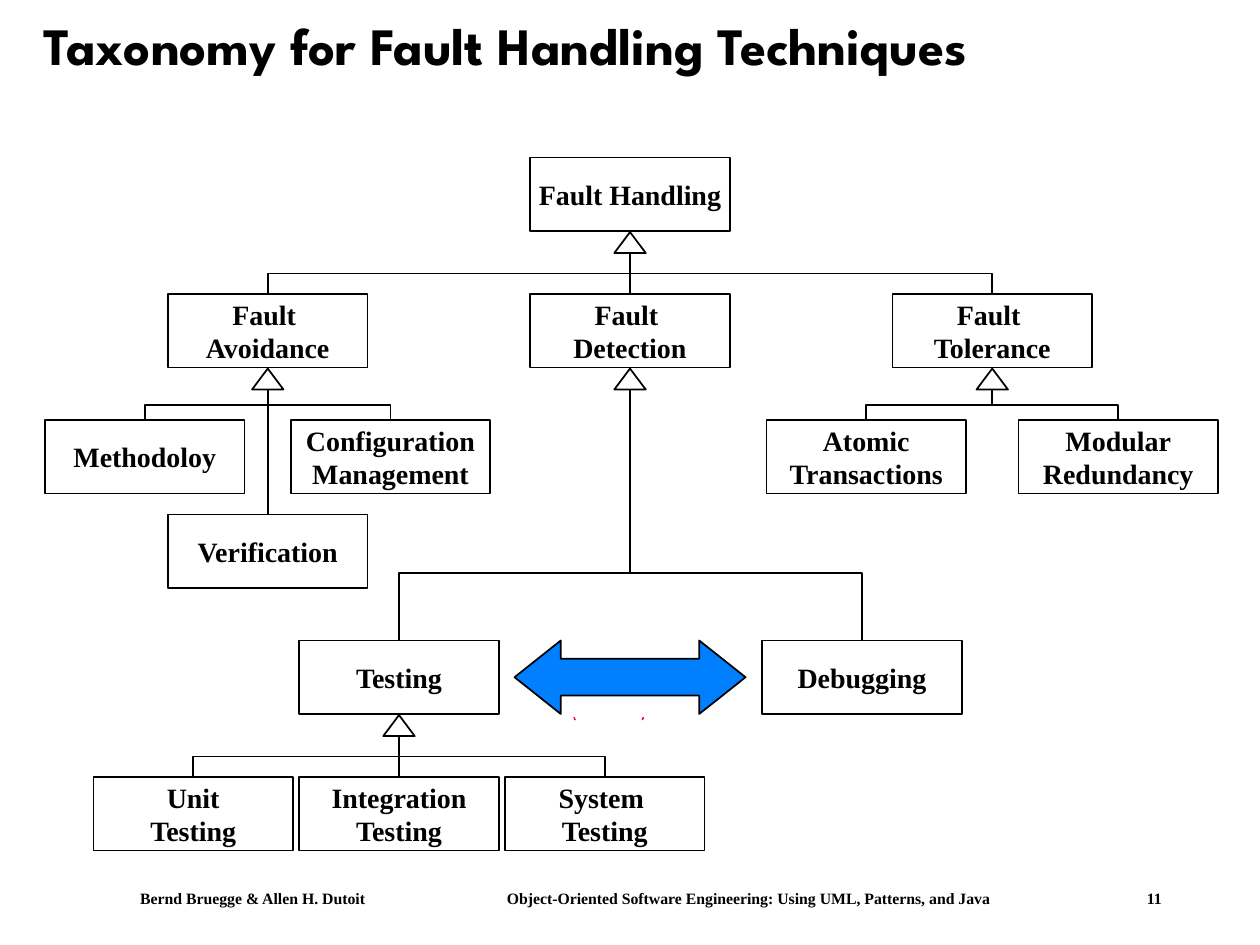
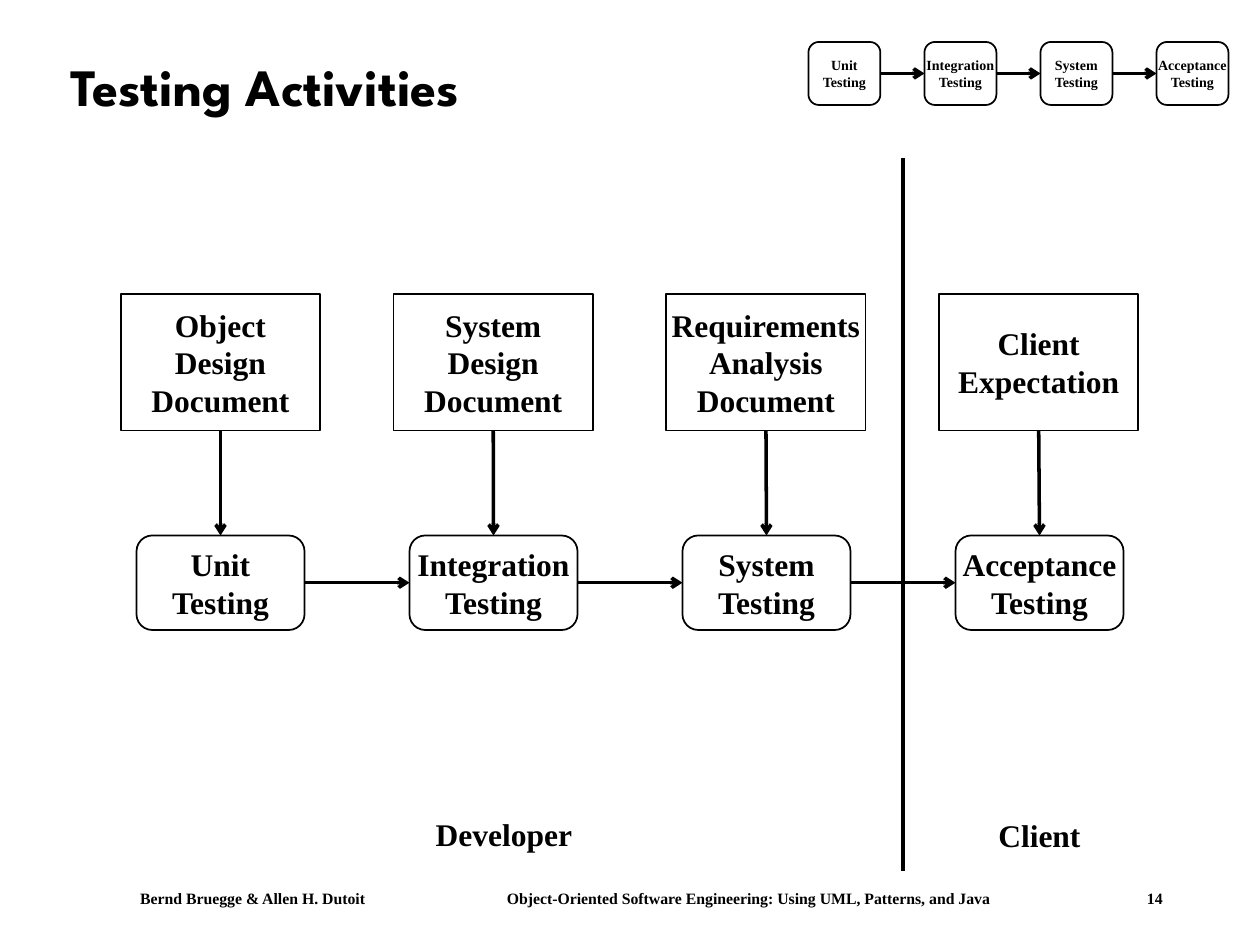
from collections import namedtuple

from lxml import etree
from pptx import Presentation
from pptx import util as u
from pptx.dml.color import RGBColor
from pptx.enum import shapes, text
from pptx.oxml import ns

BLACK = RGBColor(0x00, 0x00, 0x00)
WHITE = RGBColor(0xFF, 0xFF, 0xFF)
BLUE = RGBColor(0x00, 0x80, 0xFF)
RED = RGBColor(0xFC, 0x01, 0x28)
BODY_FONT = "Times New Roman"
TITLE_FONT = "League Spartan"

COLUMNS, ROWS = 240, 180
SLIDE_WIDTH, SLIDE_HEIGHT = u.Inches(10), u.Inches(7.5)
CELL = SLIDE_WIDTH / COLUMNS

AUTHORS = "Bernd Bruegge & Allen H. Dutoit"
BOOK = "Object-Oriented Software Engineering: Using UML, Patterns, and Java"
ACTIVITIES = ["Unit\nTesting", "Integration\nTesting", "System\nTesting", "Acceptance\nTesting"]
DOCUMENTS = [
    "Object\nDesign\nDocument",
    "System\nDesign\nDocument",
    "Requirements\nAnalysis\nDocument",
    "Client\nExpectation",
]

Box = namedtuple("Box", "left top width height")
PRESET = shapes.MSO_SHAPE
CENTER = text.PP_ALIGN.CENTER


def grid(*cells):
    return [u.Emu(round(cell * CELL)) for cell in cells]


def center_x(box):
    return box.left + box.width / 2


def bottom(box):
    return box.top + box.height


def write(shape, wording, size, font=BODY_FONT, align=CENTER, wrap=False, inset=(0, 0)):
    frame = shape.text_frame
    frame.word_wrap = wrap
    frame.vertical_anchor = text.MSO_ANCHOR.MIDDLE
    frame.margin_left = frame.margin_right = u.Inches(inset[0])
    frame.margin_top = frame.margin_bottom = u.Inches(inset[1])
    paragraph = frame.paragraphs[0]
    paragraph.alignment = align
    for number, line in enumerate(wording.split("\n")):
        if number:
            paragraph.add_line_break()
        run = paragraph.add_run()
        run.text = line
        run.font.name = font
        run.font.size = u.Pt(size)
        run.font.bold = True
        run.font.color.rgb = BLACK
    return paragraph


def label(slide, box, wording, size, **style):
    return write(slide.shapes.add_textbox(*grid(*box)), wording, size, **style)


def outlined(slide, preset, box, fill=WHITE):
    shape = slide.shapes.add_shape(preset, *grid(*box))
    shape.shadow.inherit = False
    shape.fill.solid()
    shape.fill.fore_color.rgb = fill
    shape.line.color.rgb = BLACK
    shape.line.width = u.Pt(1)
    return shape


def link(slide, start, end, width=1, arrow=False, kind=shapes.MSO_CONNECTOR.STRAIGHT):
    connector = slide.shapes.add_connector(kind, *grid(*start, *end))
    connector.line.color.rgb = BLACK
    connector.line.width = u.Pt(width)
    properties = connector._element.spPr
    if arrow:
        etree.SubElement(properties.find(ns.qn("a:ln")), ns.qn("a:tailEnd"), type="arrow")
    etree.SubElement(properties, ns.qn("a:effectLst"))
    return connector


def elbow(slide, child, parent, bend):
    (x1, y1), (x2, y2) = child, parent
    middle_x, middle_y = (x1 + x2) / 2, (y1 + y2) / 2
    half_rise, half_run = abs(y1 - y2) / 2, abs(x1 - x2) / 2
    side = 1 if x1 > x2 else -1
    start = middle_x + side * half_rise, middle_y - half_run
    end = middle_x - side * half_rise, middle_y + half_run
    connector = link(slide, start, end, kind=shapes.MSO_CONNECTOR.ELBOW)
    properties = connector._element.spPr
    properties.find(ns.qn("a:xfrm")).set("rot", str((90 if side > 0 else 270) * 60000))
    guides = properties.find(ns.qn("a:prstGeom")).find(ns.qn("a:avLst"))
    etree.SubElement(guides, ns.qn("a:gd"), name="adj1", fmla=f"val {round(bend * 100000)}")


def footer(slide, number):
    paragraph = label(slide, Box(26.7, 168, 208, 6), f"{AUTHORS}\t{BOOK}\t{number}", 9,
                      align=text.PP_ALIGN.LEFT, wrap=True)
    stops = etree.SubElement(paragraph._p.get_or_add_pPr(), ns.qn("a:tabLst"))
    for inches in (2.91, 7.99):
        etree.SubElement(stops, ns.qn("a:tab"), pos=str(u.Inches(inches)), algn="l")


def add_page(deck, title, title_box, number):
    slide = deck.slides.add_slide(deck.slide_layouts[6])
    slide.background.fill.solid()
    slide.background.fill.fore_color.rgb = WHITE
    footer(slide, number)
    heading = label(slide, title_box, title, 30, font=TITLE_FONT,
                    align=text.PP_ALIGN.LEFT, wrap=True, inset=(0.1, 0.05))
    heading.line_spacing = 0.9
    return slide


def class_node(slide, area, wording, column, row):
    box = Box(area.left + column, area.top + row, 38, 14)
    write(outlined(slide, PRESET.RECTANGLE, box), wording, 16)
    return box


def inheritance(slide, parent, children, bend=0.5):
    triangle = Box(center_x(parent) - 3, bottom(parent) + 0.2, 6, 4)
    outlined(slide, PRESET.ISOSCELES_TRIANGLE, triangle)
    joint = center_x(parent), bottom(triangle)
    for child in children:
        start = center_x(child), child.top
        if start[0] == joint[0]:
            link(slide, start, joint)
        else:
            elbow(slide, start, joint, bend)


def red_speck(slide, left, top, slant):
    width, height = 0.3, 0.6
    corners = [(left + slant, top), (left + slant + width, top),
               (left - slant + width, top + height), (left - slant, top + height)]
    points = [grid(*corner) for corner in corners]
    outline = slide.shapes.build_freeform(*points[0])
    outline.add_line_segments(points[1:])
    speck = outline.convert_to_shape()
    speck.shadow.inherit = False
    speck.fill.solid()
    speck.fill.fore_color.rgb = RED
    speck.line.fill.background()


def taxonomy(slide, area):
    def node(wording, column, row):
        return class_node(slide, area, wording, column, row)

    for column, slant in ((101.3, -0.1), (114.3, 0.1)):
        red_speck(slide, area.left + column, area.top + 106.6, slant)

    handling = node("Fault Handling", 93, 0)
    avoidance, detection, tolerance = [
        node(f"Fault \n{goal}", 24 + 69 * place, 26)
        for place, goal in enumerate(["Avoidance", "Detection", "Tolerance"])
    ]
    avoiding = [node("Methodoloy", 0.6, 50), node("Configuration\nManagement", 47.4, 50),
                node("Verification", 24, 68)]
    tolerating = [node("Atomic\nTransactions", 138, 50), node("Modular\nRedundancy", 186, 50)]
    testing, debugging = node("Testing", 49, 92), node("Debugging", 137.2, 92)
    levels = [node(wording, 49 + 39.2 * place, 118)
              for place, wording in enumerate(
                  ["Unit\nTesting", "Integration\nTesting", "System \nTesting"], start=-1)]

    inheritance(slide, handling, [avoidance, detection, tolerance])
    inheritance(slide, avoidance, avoiding)
    inheritance(slide, tolerance, tolerating)
    inheritance(slide, detection, [testing, debugging], bend=0.27)
    inheritance(slide, testing, levels)

    exchange = outlined(slide, PRESET.LEFT_RIGHT_ARROW,
                        Box(area.left + 90, area.top + 92, 44, 14), BLUE)
    exchange.adjustments[0] = 0.5
    exchange.adjustments[1] = 0.63


def node_row(slide, preset, first, pitch, wordings, size):
    boxes = [first._replace(left=first.left + pitch * place) for place in range(len(wordings))]
    for box, wording in zip(boxes, wordings):
        write(outlined(slide, preset, box), wording, size)
    return boxes


def activity_chain(slide, first, pitch, size):
    boxes = node_row(slide, PRESET.ROUNDED_RECTANGLE, first, pitch, ACTIVITIES, size)
    middle = first.top + first.height / 2
    for source, target in zip(boxes, boxes[1:]):
        link(slide, (source.left + source.width, middle), (target.left, middle), 2, True)
    return boxes


def testing_process(slide, area):
    activities = activity_chain(slide, Box(area.left + 3, area.top + 72, 32, 18), 52, 18)
    documents = node_row(slide, PRESET.RECTANGLE, Box(area.left, area.top + 26, 38, 26),
                         51.95, DOCUMENTS, 18)
    for document, activity in zip(documents, activities):
        link(slide, (center_x(document), bottom(document)),
             (center_x(activity), activity.top), 2, True)
    divider = area.left + 149
    link(slide, (divider, area.top), (divider, bottom(area)), 2)
    for party, column, row in (("Developer", 55, 124), ("Client", 157, 124.3)):
        label(slide, Box(area.left + column, area.top + row, 36, 9.6), party, 18, wrap=True)


def main():
    deck = Presentation()
    deck.slide_width, deck.slide_height = SLIDE_WIDTH, SLIDE_HEIGHT

    overview = add_page(deck, "Taxonomy for Fault Handling Techniques", Box(6, 0, 214, 18.5), 11)
    taxonomy(overview, Box(8, 30, 224, 132))

    process = add_page(deck, "Testing Activities", Box(11, 5.8, 214, 22.5), 14)
    testing_process(process, Box(23, 30, 194, 136))
    activity_chain(process, Box(154, 8, 13.7, 12), 22.1, 8)

    deck.save("out.pptx")


if __name__ == "__main__":
    main()
